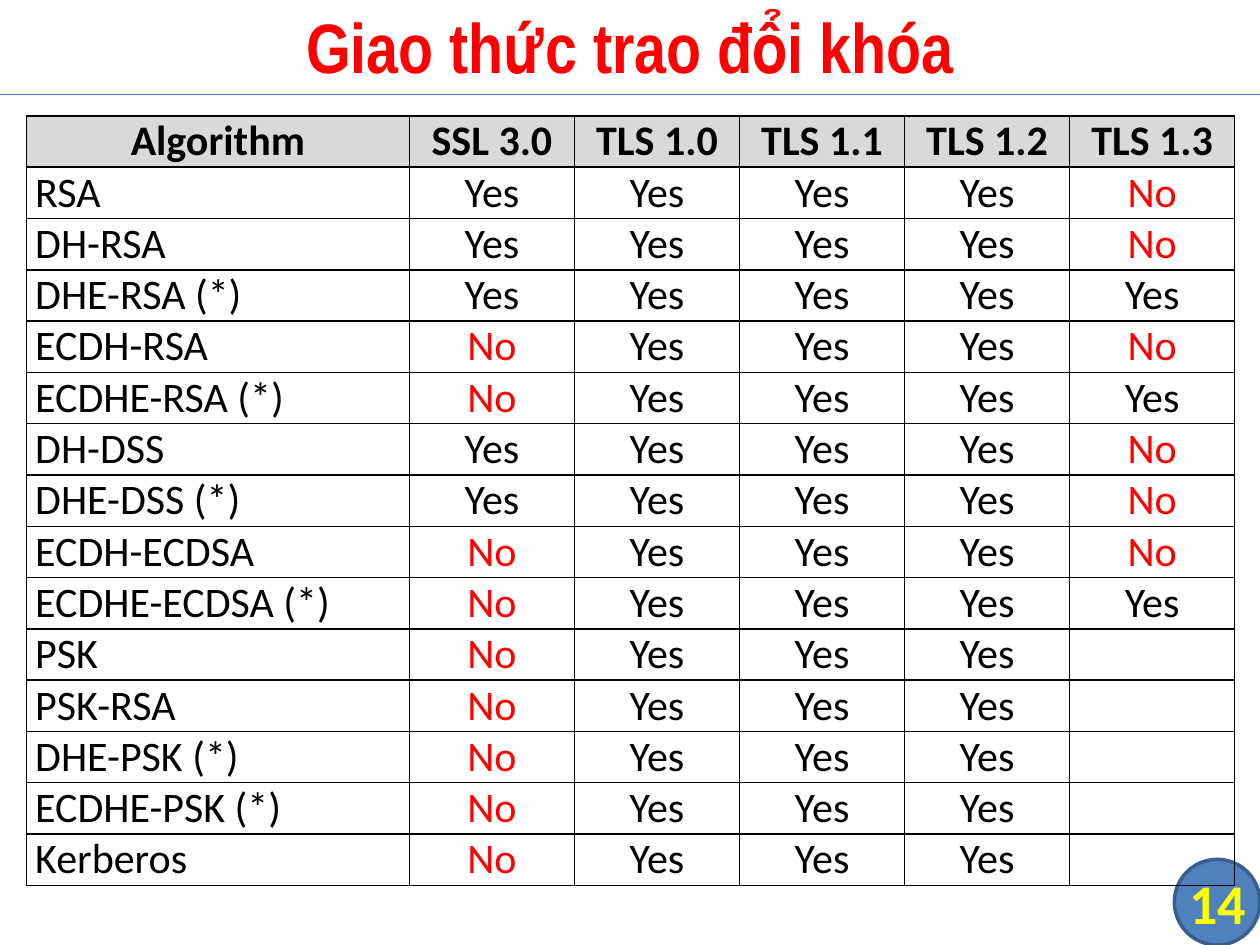
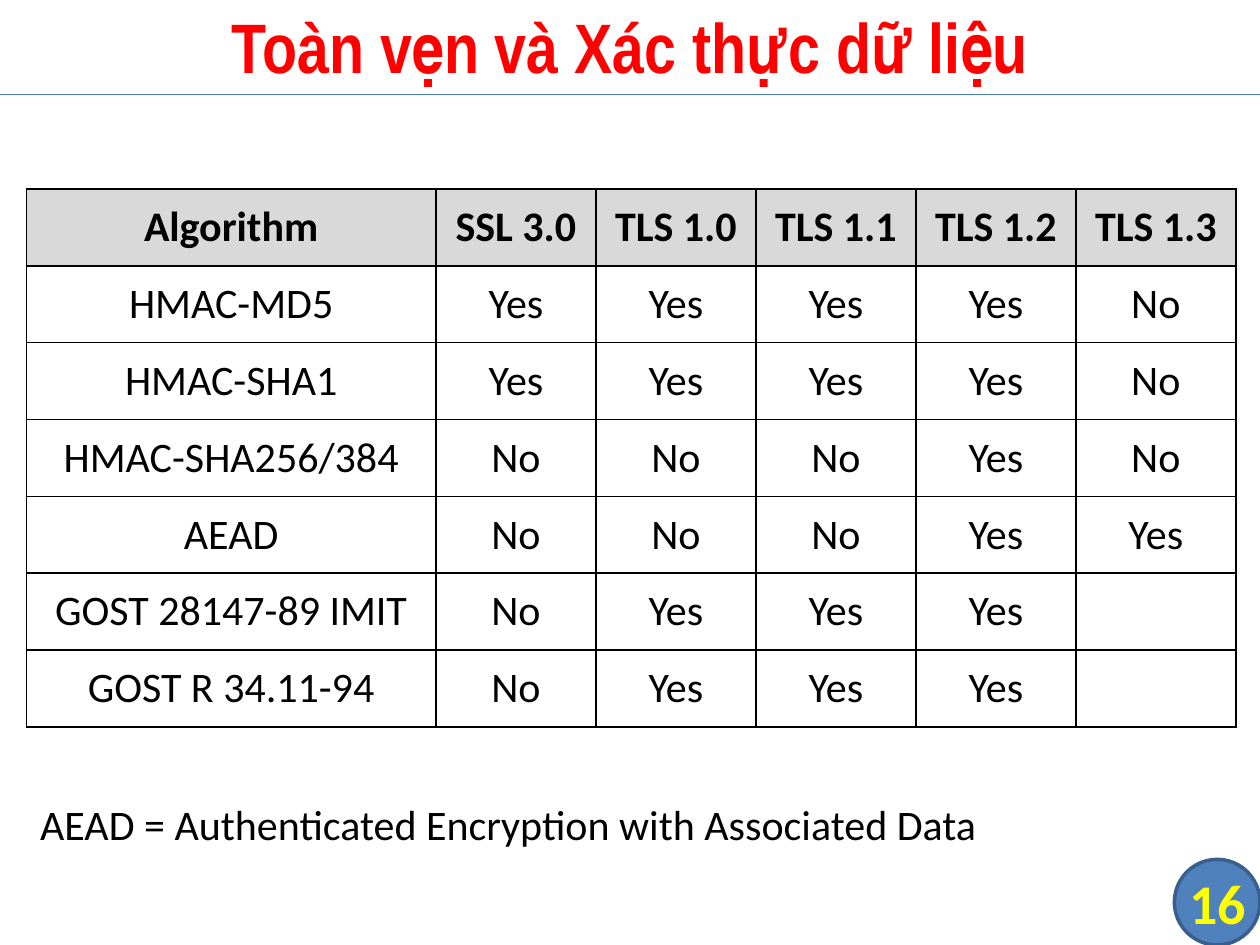
import pptx
import pptx.dml.color
import pptx.enum.shapes
import pptx.enum.text
import pptx.oxml
import pptx.util
from pptx.util import Inches

COLOURS = {
    "title": "FF0000",
    "no": "FF0000",
    "text": "000000",
    "border": "000000",
    "header": "D9D9D9",
    "badge": "4F81BD",
    "badge_edge": "3A5F8C",
    "rule": "4B7EBC",
    "number": "FFFF00",
}
ALIGN = pptx.enum.text.PP_ALIGN
ANCHOR = pptx.enum.text.MSO_ANCHOR

TITLE_FONT = {"name": "Arial Narrow", "size": pptx.util.Pt(40), "bold": True}
NUMBER_FONT = {"name": "Calibri", "size": pptx.util.Pt(32), "bold": True}
BODY_FONT = {"name": "Calibri", "size": pptx.util.Pt(24), "bold": False}
HEADER_FONT = {**BODY_FONT, "bold": True}
CELL_SPACING = {"space_before": pptx.util.Pt(3), "space_after": pptx.util.Pt(3)}
CELL_MARGINS = {
    "margin_left": Inches(0.07),
    "margin_right": Inches(0.07),
    "margin_top": 0,
    "margin_bottom": 0,
}
NO_MARGINS = dict.fromkeys(CELL_MARGINS, 0)

HEADINGS = ["Algorithm", "SSL 3.0", "TLS 1.0", "TLS 1.1", "TLS 1.2", "TLS 1.3"]
ANSWERS = {"Y": "Yes", "N": "No", "-": ""}
KEY_EXCHANGE = {
    "RSA": "YYYYN",
    "DH-RSA": "YYYYN",
    "DHE-RSA (*)": "YYYYY",
    "ECDH-RSA": "NYYYN",
    "ECDHE-RSA (*)": "NYYYY",
    "DH-DSS": "YYYYN",
    "DHE-DSS (*)": "YYYYN",
    "ECDH-ECDSA": "NYYYN",
    "ECDHE-ECDSA (*)": "NYYYY",
    "PSK": "NYYY-",
    "PSK-RSA": "NYYY-",
    "DHE-PSK (*)": "NYYY-",
    "ECDHE-PSK (*)": "NYYY-",
    "Kerberos": "NYYY-",
}
INTEGRITY = {
    "HMAC-MD5": "YYYYN",
    "HMAC-SHA1": "YYYYN",
    "HMAC-SHA256/384": "NNNYN",
    "AEAD": "NNNYY",
    "GOST 28147-89 IMIT": "NYYY-",
    "GOST R 34.11-94": "NYYY-",
}


def rgb(name):
    return pptx.dml.color.RGBColor.from_string(COLOURS[name])


def set_attributes(target, values):
    for name, value in values.items():
        setattr(target, name, value)


def write(frame, text, font, colour, align=ALIGN.LEFT, spacing=None):
    """Put one formatted line of text into a text frame."""
    para = frame.paragraphs[0]
    set_attributes(para, {"alignment": align, **(spacing or {})})
    span = para.add_run()
    span.text = text
    set_attributes(span.font, font)
    span.font.color.rgb = rgb(colour)


def add_text(page, at, text, font, colour, align=ALIGN.CENTER, **frame_format):
    box = page.shapes.add_textbox(*map(Inches, at))
    layout = {"word_wrap": True, "vertical_anchor": ANCHOR.MIDDLE, **frame_format}
    set_attributes(box.text_frame, layout)
    write(box.text_frame, text, font, colour, align)


def add_badge(page):
    badge = page.shapes.add_shape(
        pptx.enum.shapes.MSO_SHAPE.FLOWCHART_CONNECTOR,
        *map(Inches, (9.32, 6.82, 0.68, 0.68)))
    badge.shadow.inherit = False
    badge.fill.solid()
    badge.fill.fore_color.rgb = rgb("badge")
    badge.line.color.rgb = rgb("badge_edge")
    badge.line.width = pptx.util.Pt(2)


def add_rule(page):
    rule = page.shapes.add_connector(
        pptx.enum.shapes.MSO_CONNECTOR.STRAIGHT,
        *map(Inches, (0, 0.75, 10, 0.75)))
    rule.line.color.rgb = rgb("rule")
    rule.line.width = pptx.util.Pt(0.75)
    properties = rule.element.spPr
    properties.append(properties.makeelement(pptx.oxml.ns.qn("a:effectLst"), {}))


def add_borders(cell):
    """Draw 1 pt lines on all sides; call before the fill is set."""
    properties = cell._tc.get_or_add_tcPr()
    for side in "LRTB":
        properties.append(pptx.oxml.parse_xml(
            f'<a:ln{side} {pptx.oxml.ns.nsdecls("a")} w="12700"><a:solidFill>'
            f'<a:srgbClr val="{COLOURS["border"]}"/></a:solidFill></a:ln{side}>'))


def fill_cell(cell, text, is_header, colour, align, anchor):
    set_attributes(cell, {**CELL_MARGINS, "vertical_anchor": anchor})
    add_borders(cell)
    if is_header:
        cell.fill.solid()
        cell.fill.fore_color.rgb = rgb("header")
    else:
        cell.fill.background()
    if text:
        font = HEADER_FONT if is_header else BODY_FONT
        write(cell.text_frame, text, font, colour, align, CELL_SPACING)


def add_support_table(page, support, top, first_width, version_width, row_height,
                      name_align=ALIGN.CENTER, anchor=ANCHOR.MIDDLE, no_colour="text"):
    """Add a table of algorithms against protocol versions."""
    rows = [HEADINGS]
    rows += [[name, *(ANSWERS[mark] for mark in marks)] for name, marks in support.items()]
    widths = [first_width] + [version_width] * (len(HEADINGS) - 1)
    table = page.shapes.add_table(
        len(rows), len(widths), Inches(0.21), Inches(top),
        Inches(sum(widths)), Inches(row_height * len(rows))).table
    set_attributes(table, {"first_row": False, "horz_banding": False})
    for column, width in zip(table.columns, widths):
        column.width = Inches(width)
    for r, row in enumerate(rows):
        table.rows[r].height = Inches(row_height)
        for c, text in enumerate(row):
            align = name_align if r and not c else ALIGN.CENTER
            colour = no_colour if text == "No" else "text"
            fill_cell(table.cell(r, c), text, r == 0, colour, align, anchor)


def add_page(deck, title, number, support, **table_format):
    page = deck.slides.add_slide(deck.slide_layouts[6])
    add_badge(page)
    add_rule(page)
    add_support_table(page, support, **table_format)
    add_text(page, (0, -0.03, 10, 0.78), title, TITLE_FONT, "title")
    add_text(page, (9.33, 6.82, 0.67, 0.68), number, NUMBER_FONT, "number", **NO_MARGINS)
    return page


def main():
    deck = pptx.Presentation()
    set_attributes(deck, {"slide_width": Inches(10), "slide_height": Inches(7.5)})
    add_page(deck, "Giao thức trao đổi khóa", "14", KEY_EXCHANGE,
             top=0.92, first_width=3.04, version_width=1.31, row_height=0.4,
             name_align=ALIGN.LEFT, anchor=ANCHOR.TOP, no_colour="no")
    page = add_page(deck, "Toàn vẹn và Xác thực dữ liệu", "16", INTEGRITY,
                    top=1.5, first_width=3.25, version_width=1.27, row_height=0.61)
    add_text(page, (0.22, 6.29, 8.45, 0.5),
             "AEAD = Authenticated Encryption with Associated Data",
             BODY_FONT, "text", ALIGN.LEFT, word_wrap=False,
             vertical_anchor=ANCHOR.TOP,
             auto_size=pptx.enum.text.MSO_AUTO_SIZE.SHAPE_TO_FIT_TEXT)
    deck.save("out.pptx")


if __name__ == "__main__":
    main()
